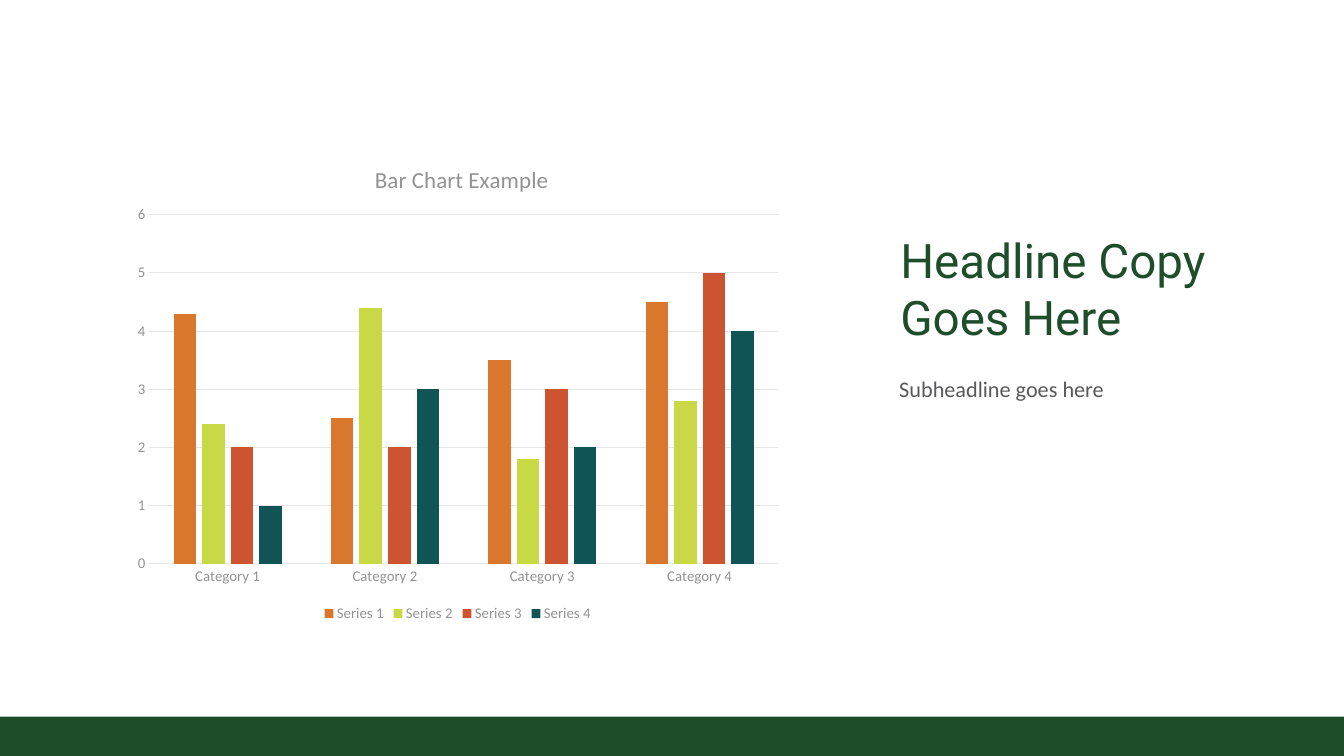
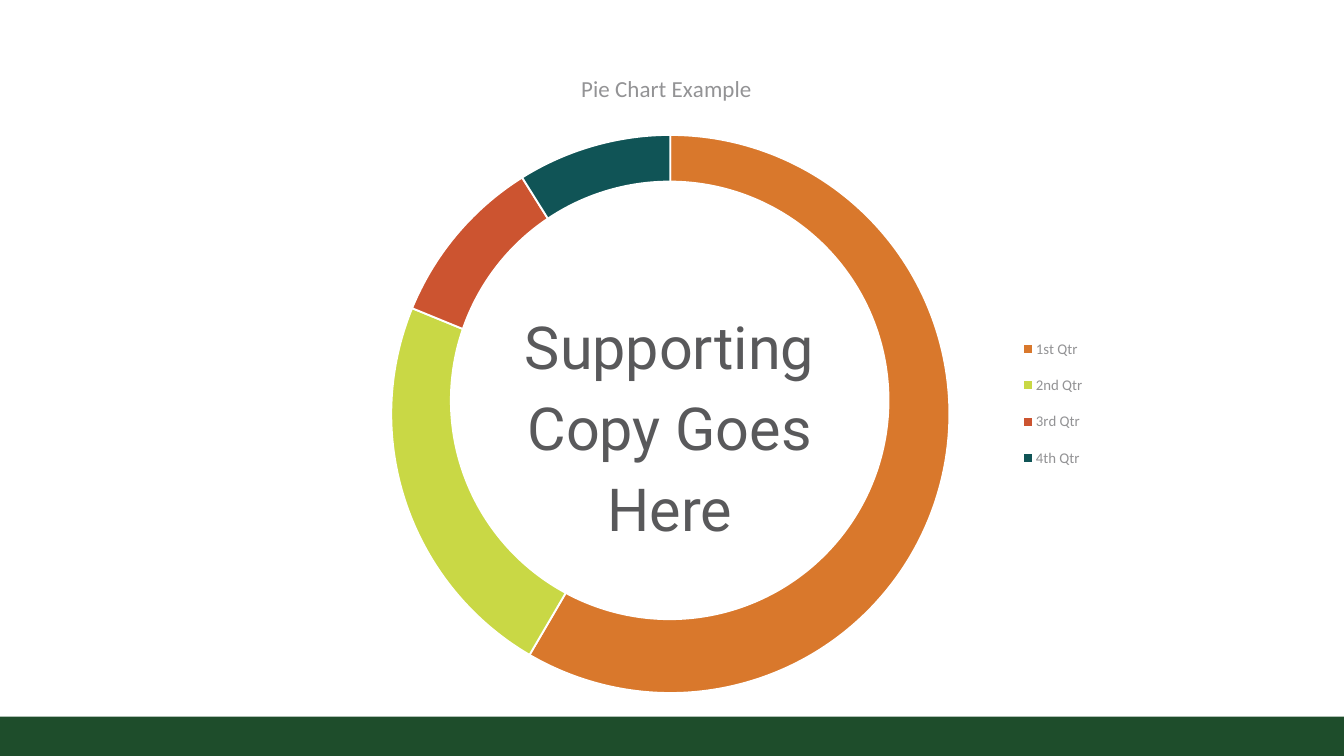
import pptx
import pptx.chart.data
import pptx.dml.color
import pptx.enum.chart
import pptx.enum.shapes
import pptx.enum.text
import pptx.oxml
import pptx.oxml.ns
import pptx.util
from dataclasses import dataclass

Cm, Pt = pptx.util.Cm, pptx.util.Pt
RGB = pptx.dml.color.RGBColor.from_string
qn = pptx.oxml.ns.qn
XL = pptx.enum.chart
ANCHOR = pptx.enum.text.MSO_ANCHOR
SHAPE = pptx.enum.shapes.MSO_SHAPE


@dataclass(frozen=True)
class Theme:
    green: str = "1E4D2B"
    white: str = "FFFFFF"
    text: str = "59595B"
    muted: str = "939395"
    rule: str = "E6E6E7"
    accents: tuple = ("D9782C", "C9D845", "CC5430", "105456")
    head_font: str = "Roboto"
    body_font: str = "Calibri"
    headline: float = 38.5
    support: float = 48
    sub: float = 18
    chart_title: float = 18.6
    chart_text: float = 12
    line_spacing: float = 1.14


T = Theme()
WIDTH, HEIGHT, BAND = 38.38, 21.59, 1.12


def set_font(font, name, size, color):
    font.name, font.size = name, Pt(size)
    font.color.rgb = RGB(color)


def add_filled(s, kind, x, y, w, h, color):
    sp = s.shapes.add_shape(kind, Cm(x), Cm(y), Cm(w), Cm(h))
    sp.shadow.inherit = False
    sp.fill.solid()
    sp.fill.fore_color.rgb = RGB(color)
    sp.line.fill.background()


def add_text(s, box, text, font, insets, anchor=ANCHOR.TOP, align=None, spacing=None):
    tf = s.shapes.add_textbox(*map(Cm, box)).text_frame
    tf.word_wrap = True
    tf.vertical_anchor = anchor
    tf.margin_left = tf.margin_right = Cm(insets[0])
    tf.margin_top = tf.margin_bottom = Cm(insets[1])
    p = tf.paragraphs[0]
    p.text = text
    p.alignment, p.line_spacing = align, spacing
    set_font(p.font, *font)
    return p


def add_slide(prs):
    s = prs.slides.add_slide(prs.slide_layouts[6])
    add_filled(s, SHAPE.RECTANGLE, 0, HEIGHT - BAND, WIDTH, BAND, T.green)
    return s


# Chart helpers

def set_layout(parent, after, **fractions):
    """Place a chart part by fractions of the chart area."""
    for old in parent.findall(qn("c:layout")):
        parent.remove(old)
    rows = {"xMode": "edge", "yMode": "edge", **fractions}
    if after is None:
        rows = {"layoutTarget": "inner", **rows}
    body = "".join(f'<c:{k} val="{v}"/>' for k, v in rows.items())
    layout = pptx.oxml.parse_xml(
        f'<c:layout {pptx.oxml.ns.nsdecls("c")}><c:manualLayout>{body}'
        "</c:manualLayout></c:layout>")
    if after is None:
        parent.insert(0, layout)
    else:
        parent.find(qn(after)).addnext(layout)


def add_chart(s, kind, box, title, categories, series, title_at, plot_at, legend_pos):
    data = pptx.chart.data.CategoryChartData()
    data.categories = categories
    for i, values in enumerate(series, 1):
        data.add_series(f"Series {i}", values)
    chart = s.shapes.add_chart(kind, *map(Cm, box), data).chart
    set_font(chart.font, T.body_font, T.chart_text, T.muted)

    # Clear chart background
    chart.element.find(qn("c:chart")).addnext(pptx.oxml.parse_xml(
        f'<c:spPr {pptx.oxml.ns.nsdecls("c", "a")}><a:noFill/>'
        "<a:ln><a:noFill/></a:ln></c:spPr>"))

    # Title, plot and legend
    chart.has_title = True
    tf = chart.chart_title.text_frame
    tf.text = title
    p = tf.paragraphs[0]
    set_font(p.font, T.body_font, T.chart_title, T.muted)
    p.font.bold = False
    set_layout(chart.chart_title._element, "c:tx", **title_at)
    set_layout(chart.element.find(".//" + qn("c:plotArea")), None, **plot_at)
    chart.has_legend = True
    chart.legend.position = legend_pos
    chart.legend.include_in_layout = False
    set_font(chart.legend.font, T.body_font, T.chart_text, T.muted)
    return chart


def style_axis(axis):
    axis.major_tick_mark = axis.minor_tick_mark = XL.XL_TICK_MARK.NONE
    set_font(axis.tick_labels.font, T.body_font, T.chart_text, T.muted)


def rule_line(line):
    line.color.rgb = RGB(T.rule)
    line.width = Pt(0.75)


# Regions

def bar_chart(s, box):
    chart = add_chart(
        s, XL.XL_CHART_TYPE.COLUMN_CLUSTERED, box, "Bar Chart Example",
        [f"Category {i}" for i in range(1, 5)],
        [(4.3, 2.5, 3.5, 4.5), (2.4, 4.4, 1.8, 2.8), (2, 2, 3, 5), (1, 3, 2, 4)],
        dict(x=0.37, y=0.04), dict(x=0.038, y=0.153, w=0.942, h=0.719),
        XL.XL_LEGEND_POSITION.BOTTOM)
    plot = chart.plots[0]
    plot.gap_width, plot.overlap = 219, -27
    plot.vary_by_categories = False
    for ser, color in zip(plot.series, T.accents):
        ser.format.fill.solid()
        ser.format.fill.fore_color.rgb = RGB(color)
    cat, val = chart.category_axis, chart.value_axis
    style_axis(cat)
    style_axis(val)
    rule_line(cat.format.line)
    rule_line(val.major_gridlines.format.line)
    val.format.line.fill.background()
    val.minimum_scale, val.maximum_scale, val.major_unit = 0, 6, 1


def headline_block(s, box):
    x, y, w, h = box
    head_h, sub_top = 3.58, 3.93
    add_text(s, (x, y, w, head_h), "Headline Copy Goes Here",
             (T.head_font, T.headline, T.green), (0.28, 0.15), ANCHOR.BOTTOM)
    p = add_text(s, (x, y + sub_top, w, h - sub_top), "Subheadline goes here",
                 (T.body_font, T.sub, T.text), (0.25, 0.25), spacing=T.line_spacing)
    p.space_after = Pt(6)


def ring_chart(s, box):
    x, y, _, _ = box
    chart = add_chart(
        s, XL.XL_CHART_TYPE.PIE, box, "Pie Chart Example",
        ["1st Qtr", "2nd Qtr", "3rd Qtr", "4th Qtr"], [(59, 23, 10, 9)],
        dict(x=0.4, y=0.01), dict(x=0.2, y=0.109, w=0.601, h=0.826),
        XL.XL_LEGEND_POSITION.RIGHT)
    set_layout(chart.legend._element, "c:legendPos", x=0.87, y=0.385, w=0.085, h=0.243)
    plot = chart.plots[0]
    plot.vary_by_categories = True
    for i, color in enumerate(T.accents):
        fmt = plot.series[0].points[i].format
        fmt.fill.solid()
        fmt.fill.fore_color.rgb = RGB(color)
        fmt.line.color.rgb = RGB(T.white)
        fmt.line.width = Pt(1.5)

    # White centre with supporting copy
    add_filled(s, SHAPE.OVAL, x + 6.98, y + 3.41, 12.55, 12.55, T.white)
    add_text(s, (x + 7.64, y + 6.68, 11.23, 7.11), "Supporting\vCopy Goes\vHere",
             (T.head_font, T.support, T.text), (0.28, 0.15),
             align=pptx.enum.text.PP_ALIGN.CENTER, spacing=T.line_spacing)


def main():
    prs = pptx.Presentation()
    prs.slide_width, prs.slide_height = Cm(WIDTH), Cm(HEIGHT)

    s = add_slide(prs)
    bar_chart(s, (3.53, 4.01, 19.08, 13.87))
    headline_block(s, (25.43, 6.43, 11.23, 6.62))

    s = add_slide(prs)
    ring_chart(s, (5.87, 1.75, 26.52, 19.3))

    prs.save("out.pptx")


if __name__ == "__main__":
    main()
